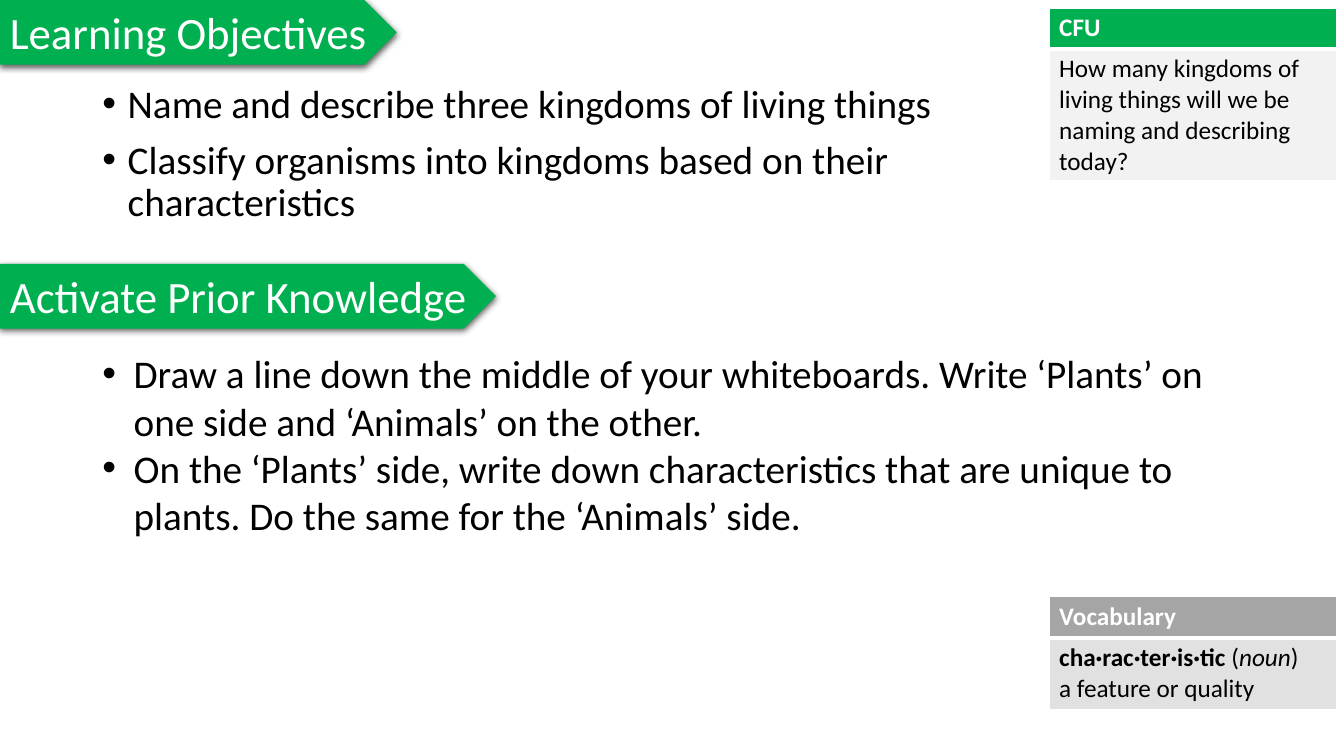
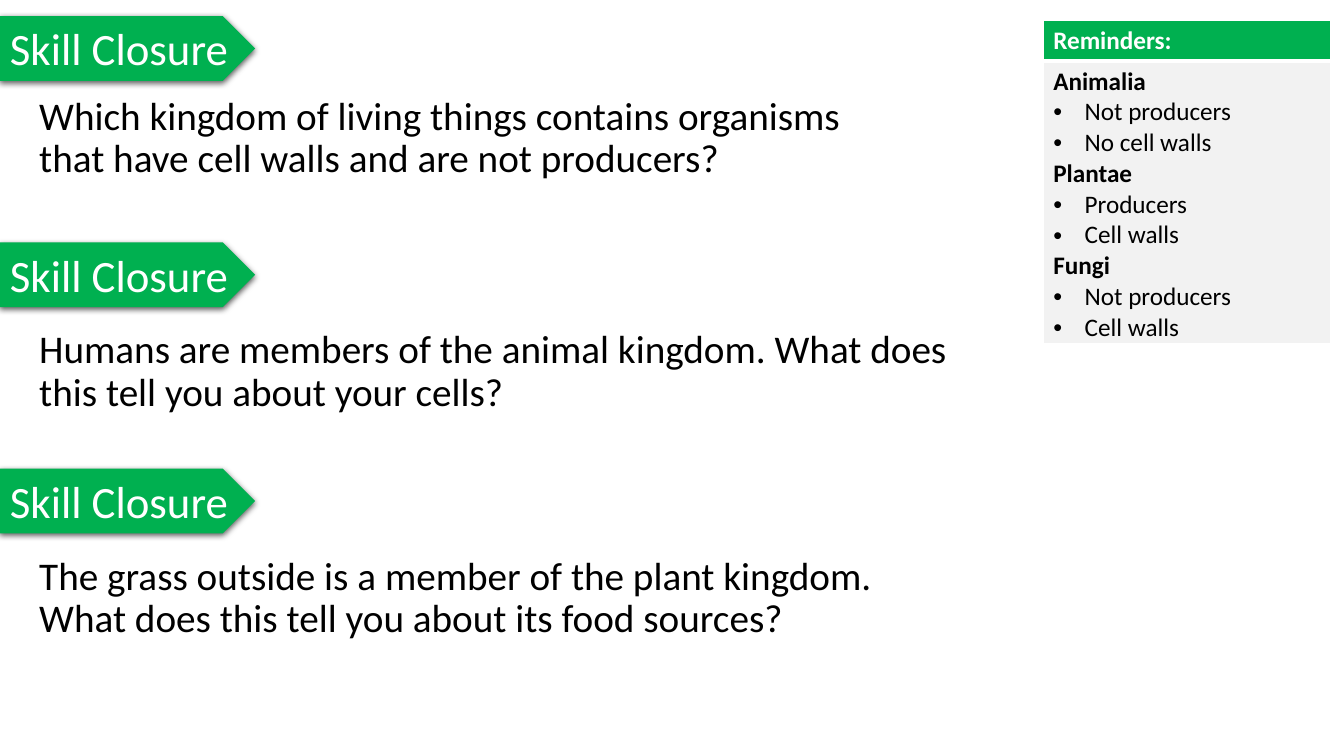
from lxml import etree
from pptx import Presentation
from pptx.dml.color import RGBColor
from pptx.enum import shapes, text
from pptx.oxml import ns
from pptx.util import Cm, Pt

GREEN = RGBColor(0x00, 0xB0, 0x50)
GRAY = RGBColor(0xA5, 0xA5, 0xA5)
PALE_GRAY = RGBColor(0xF2, 0xF2, 0xF2)
LIGHT_GRAY = RGBColor(0xE1, 0xE1, 0xE1)
WHITE = RGBColor(0xFF, 0xFF, 0xFF)
BLACK = RGBColor(0x00, 0x00, 0x00)

FONT = "Calibri"
TAG_SIZE, BODY_SIZE, PANEL_SIZE = 32, 28, 18
TAG_HEIGHT = 1.63
PANEL_WIDTH, PANEL_HEADER_HEIGHT = 7.24, 1.03
BULLET_INDENT = 0.79


def add_xml(parent, tag, **attributes):
    values = {name: str(value) for name, value in attributes.items()}
    return etree.SubElement(parent, ns.qn(tag), values)


def format_run(run, size, color=BLACK, bold=False, italic=False):
    font = run.font
    font.name, font.size = FONT, Pt(size)
    font.bold, font.italic = bold, italic
    font.color.rgb = color


def add_bullet(paragraph, indent):
    properties = paragraph._p.get_or_add_pPr()
    properties.set("marL", str(Cm(indent)))
    properties.set("indent", str(-Cm(indent)))
    add_xml(properties, "a:buFont", typeface="Arial")
    add_xml(properties, "a:buChar", char="•")


def next_paragraph(text_frame, index):
    return text_frame.add_paragraph() if index else text_frame.paragraphs[0]


# Green pointed heading with a soft shadow
def add_tag(slide, label, top, width):
    shape = slide.shapes.add_shape(shapes.MSO_SHAPE.PENTAGON, 0, Cm(top), Cm(width), Cm(TAG_HEIGHT))
    shape.fill.solid()
    shape.fill.fore_color.rgb = GREEN
    shape.line.fill.background()
    shape.shadow.inherit = False
    effects = shape._element.spPr.find(ns.qn("a:effectLst"))
    shadow = add_xml(effects, "a:outerShdw", blurRad=Pt(4.5), dist=Pt(1.5),
                     dir=90 * 60000, algn="t", rotWithShape=0)
    add_xml(add_xml(shadow, "a:srgbClr", val=BLACK), "a:alpha", val=63000)
    frame = shape.text_frame
    frame.text = label
    frame.word_wrap = False
    frame.auto_size = text.MSO_AUTO_SIZE.SHAPE_TO_FIT_TEXT
    frame.vertical_anchor = text.MSO_ANCHOR.TOP
    frame.paragraphs[0].alignment = text.PP_ALIGN.LEFT
    format_run(frame.paragraphs[0].runs[0], TAG_SIZE, WHITE)


# Large body text, bulleted when an indent is given
def add_body(slide, lines, box, indent=0, line_spacing=0.9, gap=0):
    frame = slide.shapes.add_textbox(*map(Cm, box)).text_frame
    frame.word_wrap = True
    for index, line in enumerate(lines):
        paragraph = next_paragraph(frame, index)
        paragraph.text = line
        paragraph.line_spacing = line_spacing
        if index and gap:
            paragraph.space_before = Pt(gap)
        if indent:
            add_bullet(paragraph, indent)
        for run in paragraph.runs:
            format_run(run, BODY_SIZE)


def style_cell(cell, color, top_border, bottom_border):
    properties = cell._tc.get_or_add_tcPr()
    borders = {"a:lnL": 1, "a:lnR": 1, "a:lnT": top_border, "a:lnB": bottom_border}
    for tag, width in borders.items():
        line = add_xml(properties, tag, w=Pt(width))
        add_xml(add_xml(line, "a:solidFill"), "a:srgbClr", val=WHITE)
    cell.fill.solid()
    cell.fill.fore_color.rgb = color


# Side panel: header cell above a cell of (bulleted, runs) paragraphs
def add_panel(slide, title, paragraphs, left, top, body_height, header_color=GREEN, body_color=PALE_GRAY):
    table = slide.shapes.add_table(2, 1, Cm(left), Cm(top), Cm(PANEL_WIDTH),
                                   Cm(PANEL_HEADER_HEIGHT + body_height)).table
    table.rows[0].height = Cm(PANEL_HEADER_HEIGHT)
    table.rows[1].height = Cm(body_height)
    header, body = table.cell(0, 0), table.cell(1, 0)
    style_cell(header, header_color, 1, 3)
    style_cell(body, body_color, 3, 1)
    header.text_frame.text = title
    format_run(header.text_frame.paragraphs[0].runs[0], PANEL_SIZE, WHITE, bold=True)
    for index, (bulleted, runs) in enumerate(paragraphs):
        paragraph = next_paragraph(body.text_frame, index)
        if bulleted:
            add_bullet(paragraph, BULLET_INDENT)
        for words, style in runs:
            run = paragraph.add_run()
            run.text = words
            format_run(run, PANEL_SIZE, **style)


def build_objectives(slide):
    add_tag(slide, "Learning Objectives", 0, 10)
    add_tag(slide, "Activate Prior Knowledge", 6.65, 12.5)
    question = "How many kingdoms of living things will we be naming and describing today?"
    add_panel(slide, "CFU", [(False, [(question, {})])], 26.44, 0.2, 3.33)
    add_body(slide, [
        "Name and describe three kingdoms of living things",
        "Classify organisms into kingdoms based on their\ncharacteristics",
    ], (2.33, 2, 29.21, 4.5), indent=0.64, gap=10)
    add_body(slide, [
        "Draw a line down the middle of your whiteboards. Write ‘Plants’ on one side and ‘Animals’ on the other.",
        "On the ‘Plants’ side, write down characteristics that are unique to plants. "
        "Do the same for the ‘Animals’ side.",
    ], (2.33, 8.69, 29.21, 5.05), indent=BULLET_INDENT, line_spacing=1)
    definition = [
        (False, [("cha·rac·ter·is·tic ", {"bold": True}), ("(", {}), ("noun", {"italic": True}), (")", {})]),
        (False, [("a feature or quality", {})]),
    ]
    add_panel(slide, "Vocabulary", definition, 26.44, 15.04, 1.8, GRAY, LIGHT_GRAY)


def build_closure(slide):
    # Three questions at an equal pitch: text, offset below the tag, width, height
    questions = [
        ("Which kingdom of living things contains organisms that have cell walls and are not producers?",
         1.9, 20.98, 2.41),
        ("Humans are members of the animal kingdom. What does this tell you about your cells?",
         2.08, 24.36, 2.77),
        ("The grass outside is a member of the plant kingdom. What does this tell you about its food sources?",
         2.08, 23.52, 4.55),
    ]
    for index, (question, offset, width, height) in enumerate(questions):
        top = 0.41 + index * 5.7
        add_tag(slide, "Skill Closure", top, 6.43)
        add_body(slide, [question], (0.74, top + offset, width, height))
    kingdoms = {
        "Animalia": ["Not producers", "No cell walls"],
        "Plantae": ["Producers", "Cell walls"],
        "Fungi": ["Not producers", "Cell walls"],
    }
    reminders = []
    for kingdom, traits in kingdoms.items():
        reminders.append((False, [(kingdom, {"bold": True})]))
        reminders += [(True, [(trait, {})]) for trait in traits]
    add_panel(slide, "Reminders:", reminders, 26.29, 0.51, 7.11)


def main():
    presentation = Presentation()
    presentation.slide_width, presentation.slide_height = Cm(33.87), Cm(19.05)
    for build in (build_objectives, build_closure):
        build(presentation.slides.add_slide(presentation.slide_layouts[6]))
    presentation.save("out.pptx")


if __name__ == "__main__":
    main()
